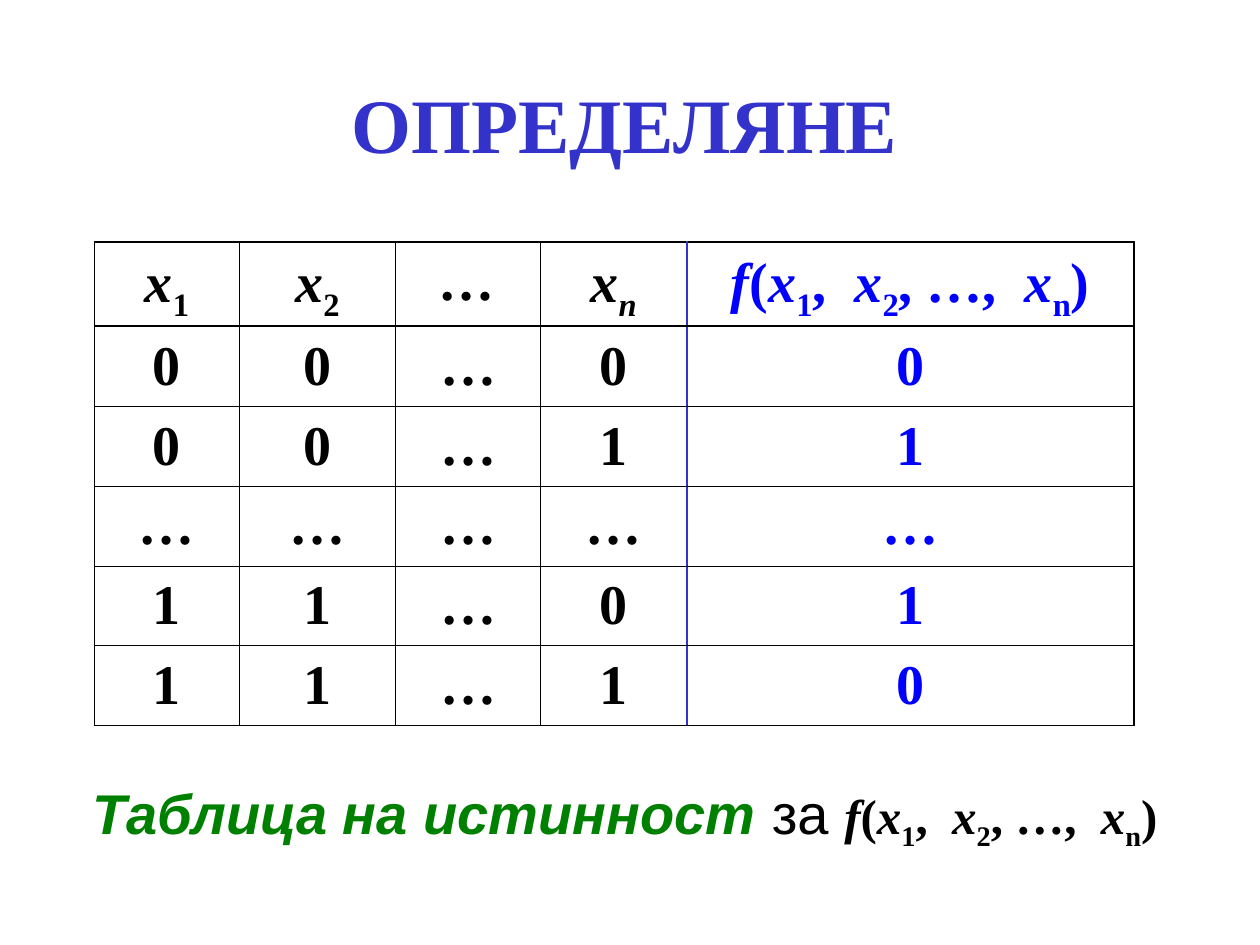
from dataclasses import dataclass

from lxml.etree import SubElement
from pptx import Presentation
from pptx.dml.color import RGBColor
from pptx.enum.text import MSO_ANCHOR as Anchor, PP_ALIGN as Align
from pptx.oxml.ns import qn
from pptx.util import Inches, Pt

SLIDE_W, SLIDE_H = Inches(10), Inches(7.5)
BLACK = RGBColor(0x00, 0x00, 0x00)
INDIGO = RGBColor(0x33, 0x33, 0xCC)
BLUE = RGBColor(0x00, 0x00, 0xFF)
GREEN = RGBColor(0x00, 0x80, 0x00)
SERIF, SANS = "Times New Roman", "Arial"
SUBSCRIPT = "-25000"
THIN, OUTER, DIVIDER = 0.45, 1.08, 1.47


@dataclass(frozen=True)
class Piece:
    text: str
    italic: bool = False
    sub: bool = False


@dataclass(frozen=True)
class Style:
    size: float
    color: RGBColor
    name: str = SERIF
    bold: bool = True


@dataclass(frozen=True)
class Area:
    """A rectangle given as shares of the slide's size."""
    left: float
    top: float
    width: float
    height: float

    def emu(self) -> tuple[int, ...]:
        return (int(self.left * SLIDE_W), int(self.top * SLIDE_H),
                int(self.width * SLIDE_W), int(self.height * SLIDE_H))


TITLE_AREA = Area(0.071, 0.068, 0.85, 0.123)
CAPTION_AREA = Area(0.063, 0.812, 0.866, 0.077)
TABLE_AREA = Area(0.075, 0.256, 0.825, 0.511)
COLUMN_WIDTHS = (1.15, 1.24, 1.15, 1.16, 3.55)
HEADER_HEIGHT, ROW_HEIGHT = 0.67, 0.63


def variable(index: str, italic_index: bool = False) -> list[Piece]:
    return [Piece("x", italic=True), Piece(index, italic_index, sub=True)]


FUNCTION = [Piece("f", italic=True), Piece("("), *variable("1"), Piece(",  "),
            *variable("2"), Piece(", …,  "), *variable("n"), Piece(")")]
HEADER = [variable("1"), variable("2"), [Piece("…", italic=True)],
          variable("n", italic_index=True), FUNCTION]
TRUTH_ROWS = ("00…00", "00…11", "………………"[:5], "11…01", "11…10")
ROWS = [HEADER] + [[[Piece(value)] for value in row] for row in TRUTH_ROWS]


def write(paragraph, pieces: list[Piece], style: Style) -> None:
    paragraph.alignment = Align.CENTER
    for piece in pieces:
        run = paragraph.add_run()
        run.text = piece.text
        font_format = {"size": Pt(style.size), "name": style.name,
                       "bold": style.bold, "italic": piece.italic}
        for key, value in font_format.items():
            setattr(run.font, key, value)
        run.font.color.rgb = style.color
        if piece.sub:
            run._r.get_or_add_rPr().set("baseline", SUBSCRIPT)


def add_text(slide, area: Area, anchor: Anchor, top_inset: float,
             parts: list[tuple[list[Piece], Style]]) -> None:
    frame = slide.shapes.add_textbox(*area.emu()).text_frame
    frame_format = {"word_wrap": True, "vertical_anchor": anchor,
                    "margin_top": Inches(top_inset)}
    for key, value in frame_format.items():
        setattr(frame, key, value)
    for pieces, style in parts:
        write(frame.paragraphs[0], pieces, style)


def row_line(edge: int) -> tuple[float, RGBColor]:
    return (OUTER if edge in (0, 1, len(ROWS)) else THIN), BLACK


def column_line(edge: int) -> tuple[float, RGBColor]:
    last = len(COLUMN_WIDTHS)
    if edge == last - 1:
        return DIVIDER, INDIGO
    return (OUTER if edge in (0, last) else THIN), BLACK


def set_borders(cell, row: int, column: int) -> None:
    properties = cell._tc.get_or_add_tcPr()
    borders = {"a:lnL": column_line(column), "a:lnR": column_line(column + 1),
               "a:lnT": row_line(row), "a:lnB": row_line(row + 1)}
    for tag, (width, color) in borders.items():
        line = SubElement(properties, qn(tag), w=str(int(Pt(width))))
        fill = SubElement(line, qn("a:solidFill"))
        SubElement(fill, qn("a:srgbClr"), val=str(color))


def add_truth_table(slide) -> None:
    table = slide.shapes.add_table(
        len(ROWS), len(COLUMN_WIDTHS), *TABLE_AREA.emu()).table
    table.first_row = table.horz_banding = False
    for column, width in zip(table.columns, COLUMN_WIDTHS):
        column.width = Inches(width)
    for r, contents in enumerate(ROWS):
        table.rows[r].height = Inches(ROW_HEIGHT if r else HEADER_HEIGHT)
        for c, pieces in enumerate(contents):
            cell = table.cell(r, c)
            set_borders(cell, r, c)
            cell.fill.background()
            cell.vertical_anchor = Anchor.MIDDLE
            paragraph = cell.text_frame.paragraphs[0]
            if r == 0:
                paragraph.line_spacing = 0.9
            is_result = c == len(COLUMN_WIDTHS) - 1
            write(paragraph, pieces, Style(32, BLUE if is_result else BLACK))


def main() -> None:
    deck = Presentation()
    deck.slide_width, deck.slide_height = SLIDE_W, SLIDE_H
    slide = deck.slides.add_slide(deck.slide_layouts[6])
    add_text(slide, TITLE_AREA, Anchor.MIDDLE, 0.05,
             [([Piece("ОПРЕДЕЛЯНЕ")], Style(44, INDIGO))])
    add_text(slide, CAPTION_AREA, Anchor.TOP, 0.09, [
        ([Piece("Таблица на истинност", italic=True)], Style(32, GREEN, SANS)),
        ([Piece(" за ")], Style(32, BLACK, SANS, bold=False)),
        (FUNCTION, Style(28, BLACK)),
    ])
    add_truth_table(slide)
    deck.save("out.pptx")


if __name__ == "__main__":
    main()
